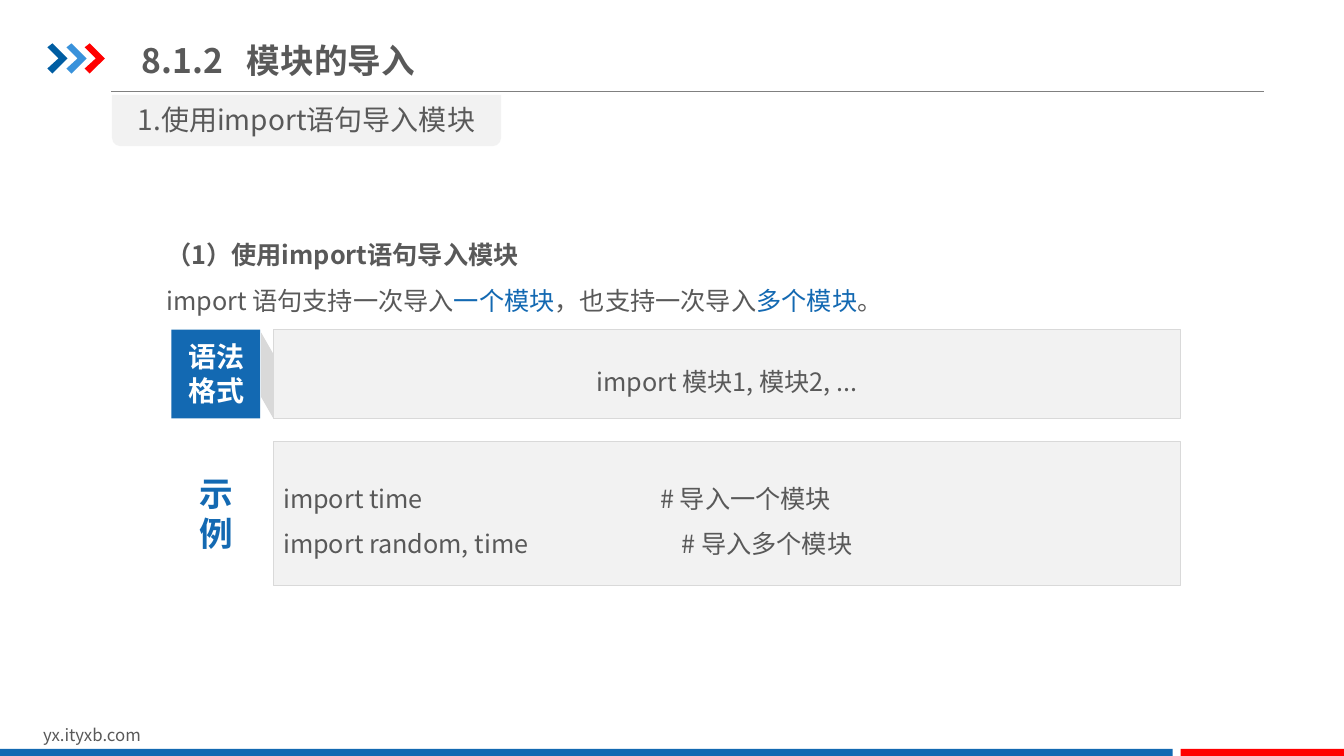
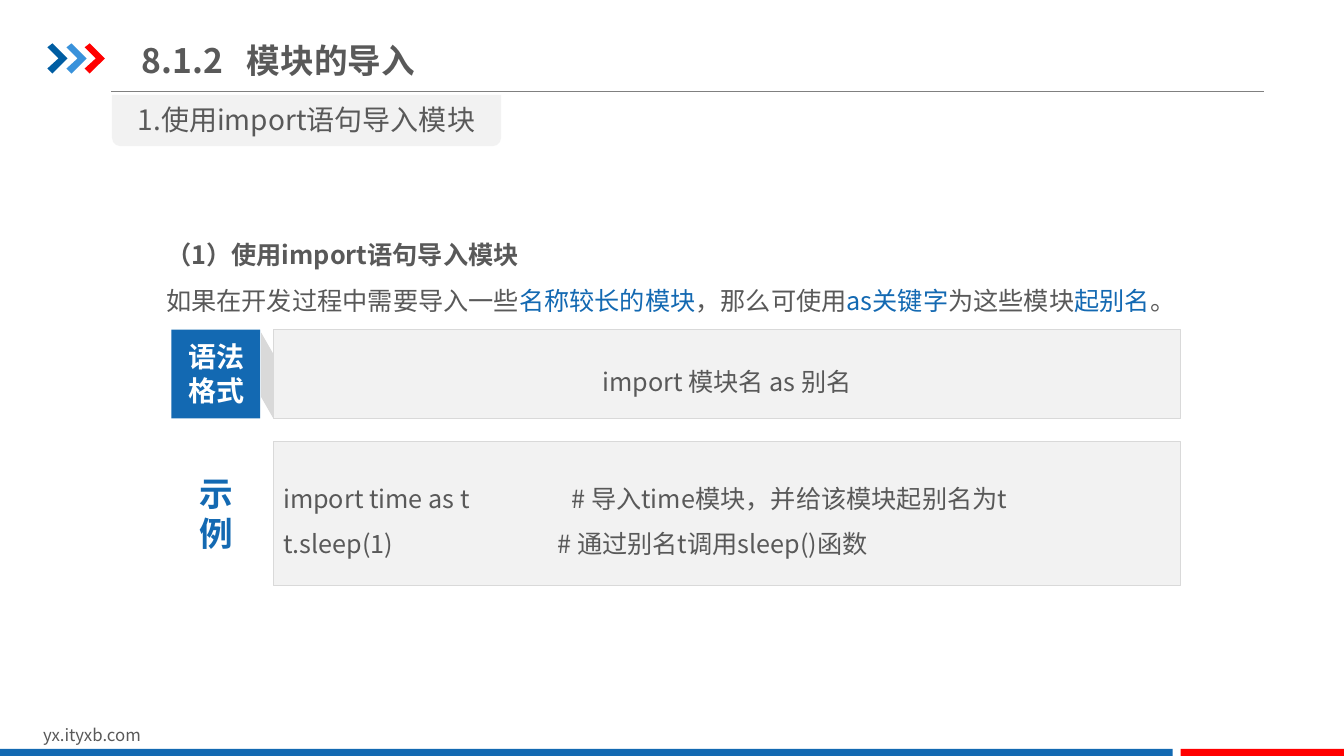
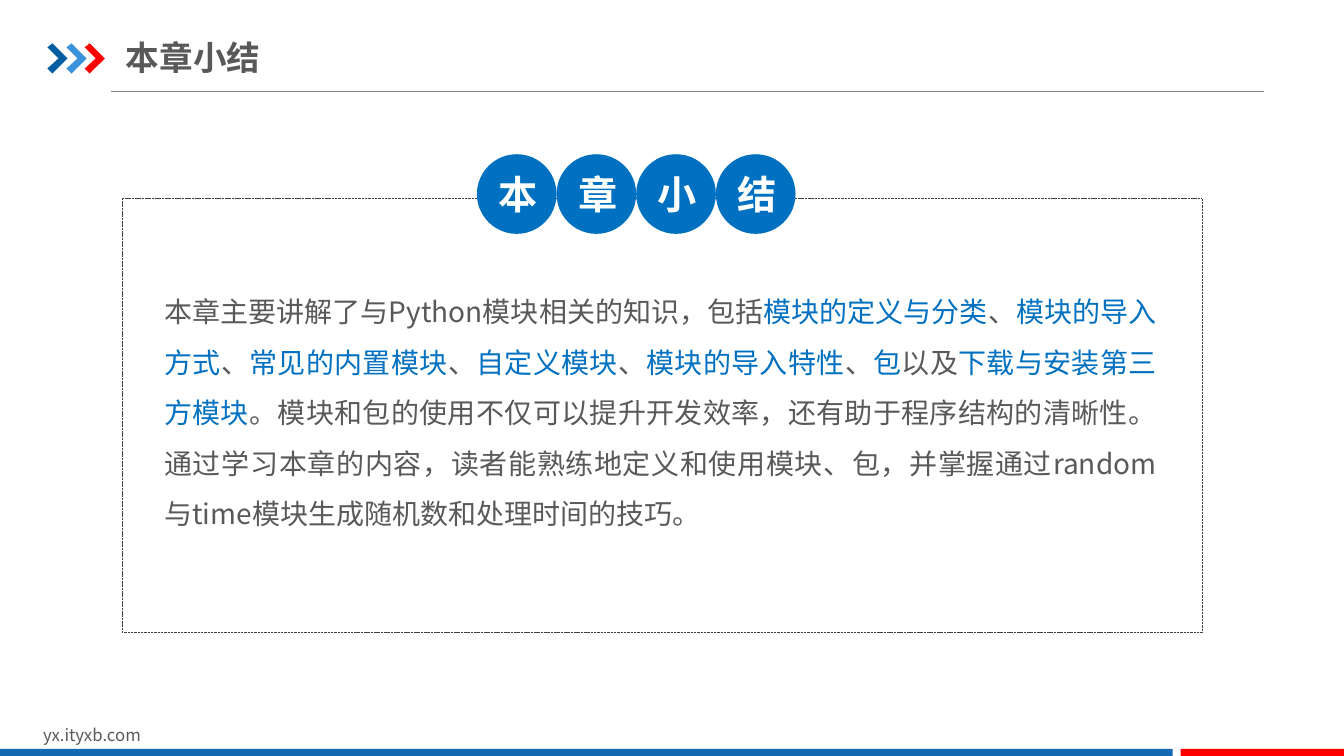
from lxml import etree
from pptx import Presentation
from pptx.dml.color import RGBColor
from pptx.enum.dml import MSO_LINE_DASH_STYLE as Dash
from pptx.enum.shapes import MSO_CONNECTOR as Connector, MSO_SHAPE as Shape
from pptx.enum.text import MSO_ANCHOR as Anchor, PP_ALIGN as Align
from pptx.oxml.ns import qn
from pptx.util import Emu, Pt

PX = 9144  # 100 px to the inch
FONT = "Noto Sans CJK SC"

WHITE = RGBColor(0xFF, 0xFF, 0xFF)
TEXT_GREY = RGBColor(0x59, 0x59, 0x59)
RULE_GREY = RGBColor(0x80, 0x80, 0x80)
FRAME_GREY = RGBColor(0x40, 0x40, 0x40)
EDGE_GREY = RGBColor(0xD9, 0xD9, 0xD9)
PANEL_GREY = RGBColor(0xF2, 0xF2, 0xF2)
BLUE = RGBColor(0x13, 0x69, 0xB2)
SUMMARY_BLUE = RGBColor(0x00, 0x70, 0xC0)
DARK_BLUE = RGBColor(0x00, 0x5D, 0xA2)
LIGHT_BLUE = RGBColor(0x39, 0x92, 0xDB)
RED = RGBColor(0xFF, 0x00, 0x00)


def px(*lengths):
    return [Emu(length * PX) for length in lengths]


# Elements
def paint(shape, fill=None, edge=None, edge_width=0.25):
    shape.shadow.inherit = False
    if fill is None:
        shape.fill.background()
    else:
        shape.fill.solid()
        shape.fill.fore_color.rgb = fill
    if edge is None:
        shape.line.fill.background()
    else:
        shape.line.color.rgb = edge
        shape.line.width = Pt(edge_width)
    return shape


def add_block(slide, kind, box, fill=None, edge=None):
    return paint(slide.shapes.add_shape(kind, *px(*box)), fill, edge)


def add_outline(slide, points, fill):
    builder = slide.shapes.build_freeform(*points[0], scale=PX)
    builder.add_line_segments(points[1:], close=True)
    return paint(builder.convert_to_shape(), fill)


def add_tab(paragraph, position):
    tabs = etree.SubElement(paragraph._p.get_or_add_pPr(), qn("a:tabLst"))
    etree.SubElement(tabs, qn("a:tab"), pos=str(position * PX), algn="l")


def style_run(run, size, colour, bold):
    font = run.font
    font.size, font.bold, font.name = Pt(size), bold, FONT
    font.color.rgb = colour
    etree.SubElement(run._r.get_or_add_rPr(), qn("a:ea"), typeface=FONT)


def write(shape, lines, size, colour=TEXT_GREY, bold=False, align=Align.LEFT,
          spacing=1.0, anchor=Anchor.MIDDLE, wrap=True, highlight=BLUE, tabs=()):
    """Write lines; parts between bars take the highlight colour."""
    frame = shape.text_frame
    frame.word_wrap, frame.vertical_anchor = wrap, anchor
    for index, line in enumerate(lines):
        paragraph = frame.add_paragraph() if index else frame.paragraphs[0]
        if tabs:
            add_tab(paragraph, tabs[index])
        paragraph.alignment, paragraph.line_spacing = align, spacing
        for part, words in enumerate(line.split("|")):
            run = paragraph.add_run()
            run.text = words
            style_run(run, size, highlight if part % 2 else colour, bold)
    return frame


def add_text(slide, box, lines, size, anchor=Anchor.TOP, **style):
    label = slide.shapes.add_textbox(*px(*box))
    return write(label, lines, size, anchor=anchor, **style)


def set_insets(frame, side, end):
    frame.margin_left, frame.margin_right = px(side, side)
    frame.margin_top, frame.margin_bottom = px(end, end)


# Shared parts
def add_page(deck):
    slide = deck.slides.add_slide(deck.slide_layouts[6])
    rule = slide.shapes.add_connector(Connector.STRAIGHT, *px(110, 91, 1254, 91))
    rule.line.color.rgb = RULE_GREY
    rule.line.width = Pt(0.75)
    etree.SubElement(rule._element.spPr, qn("a:effectLst"))
    chevron = [(47, 47), (52, 43), (67, 58), (52, 73), (47, 68), (58, 58)]
    for shift, colour in ((0, DARK_BLUE), (19, LIGHT_BLUE), (37, RED)):
        add_outline(slide, [(x + shift, y) for x, y in chevron], colour)
    add_text(slide, (33, 714, 318, 30), ["yx.ityxb.com"], 12)
    add_block(slide, Shape.RECTANGLE, (0, 743, 1163, 7), BLUE)
    add_block(slide, Shape.RECTANGLE, (1171, 743, 162, 7), RED)
    return slide


def add_title(slide, box, title, **style):
    return add_text(slide, box, [title], 24, Anchor.MIDDLE, bold=True, **style)


# Import slides
def add_import_slide(deck, usage, syntax, example, comment_tabs):
    slide = add_page(deck)
    add_title(slide, (131, 29, 541, 61), "8.1.2\t模块的导入", tabs=[104])

    # Section tab
    section = add_block(slide, Shape.ROUND_2_SAME_RECTANGLE, (111, 94, 386, 51), PANEL_GREY)
    section.rotation = 180
    add_text(slide, (111, 97, 386, 44), ["1.使用import语句导入模块"], 20, align=Align.CENTER)

    # Explanation
    explanation = add_text(slide, (155, 218, 1016, 96),
                           ["（1）使用import语句导入模块", usage], 18, spacing=1.5)
    for run in explanation.paragraphs[0].runs:
        run.font.bold = True

    # Example
    example_panel = add_block(slide, Shape.RECTANGLE, (271, 438, 900, 143), PANEL_GREY, EDGE_GREY)
    write(example_panel, example, 18, spacing=1.5, tabs=comment_tabs)
    add_text(slide, (188, 464, 54, 91), ["示", "例"], 24, colour=BLUE, bold=True,
             align=Align.CENTER, wrap=False)

    # Syntax
    syntax_panel = add_block(slide, Shape.RECTANGLE, (271, 327, 900, 88), PANEL_GREY, EDGE_GREY)
    write(syntax_panel, [syntax], 18, align=Align.CENTER, spacing=1.5)
    add_block(slide, Shape.RECTANGLE, (170, 327, 88, 88), BLUE)
    add_text(slide, (177, 332, 76, 77), ["语法", "格式"], 20, colour=WHITE, bold=True,
             align=Align.CENTER, wrap=False)
    add_outline(slide, [(271, 351), (271, 415), (259, 394), (259, 330)], EDGE_GREY)


# Summary slide
def add_summary_slide(deck, heading, summary):
    slide = add_page(deck)
    title = add_title(slide, (125, 29, 620, 55), heading)
    set_insets(title, 0, 7)
    frame = add_block(slide, Shape.RECTANGLE, (121, 197, 1071, 430), edge=FRAME_GREY)
    frame.line.dash_style = Dash.SQUARE_DOT
    body = add_text(slide, (163, 276, 984, 252), [summary], 20, align=Align.JUSTIFY,
                    spacing=1.5, highlight=SUMMARY_BLUE)
    set_insets(body, 0, 0)
    diameter = 79
    for index, character in enumerate(heading):
        badge = add_block(slide, Shape.OVAL,
                          (473 + index * diameter, 153, diameter, diameter), SUMMARY_BLUE)
        write(badge, [character], 28, colour=WHITE, bold=True, align=Align.CENTER)


def main():
    deck = Presentation()
    deck.slide_width, deck.slide_height = px(1333, 750)
    add_import_slide(
        deck,
        "import 语句支持一次导入|一个模块|，也支持一次导入|多个模块|。",
        "import 模块1, 模块2, ...",
        ["import time\t# 导入一个模块", "import random, time\t# 导入多个模块"],
        [374, 395])
    add_import_slide(
        deck,
        "如果在开发过程中需要导入一些|名称较长的模块|，那么可使用|as关键字|为这些模块|起别名|。",
        "import 模块名 as 别名",
        ["import time as t\t# 导入time模块，并给该模块起别名为t",
         "t.sleep(1)\t# 通过别名t调用sleep()函数"],
        [286, 272])
    add_summary_slide(
        deck, "本章小结",
        "本章主要讲解了与Python模块相关的知识，包括|模块的定义与分类|、|模块的导入方式|、"
        "|常见的内置模块|、|自定义模块|、|模块的导入特性|、|包|以及|下载与安装第三方模块|。"
        "模块和包的使用不仅可以提升开发效率，还有助于程序结构的清晰性。通过学习本章的内容，"
        "读者能熟练地定义和使用模块、包，并掌握通过random与time模块生成随机数和处理时间的技巧。")
    deck.save("out.pptx")


if __name__ == "__main__":
    main()
